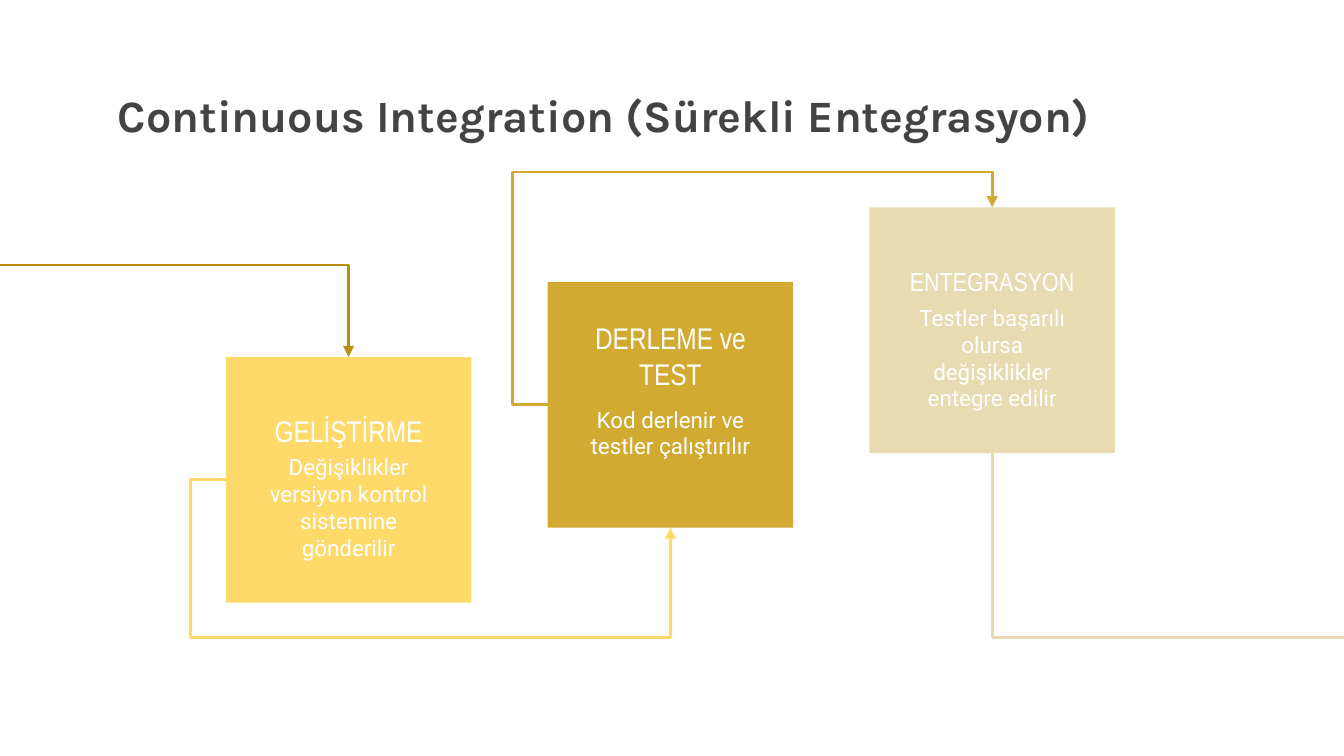
import pptx
import pptx.util
import pptx.dml.color
import pptx.enum.shapes
import pptx.enum.text
import pptx.oxml.ns
from lxml import etree

Pt = pptx.util.Pt
RGBColor = pptx.dml.color.RGBColor
qn = pptx.oxml.ns.qn

INK = RGBColor(0x43, 0x43, 0x43)
WHITE = RGBColor(0xFF, 0xFF, 0xFF)
BRONZE = RGBColor(0xB8, 0x8E, 0x13)
YELLOW = RGBColor(0xFF, 0xD9, 0x69)
GOLD = RGBColor(0xD3, 0xAA, 0x31)
SAND = RGBColor(0xE9, 0xDB, 0xB1)

# Content
TITLE = "Continuous Integration (Sürekli Entegrasyon)"
STEPS = [  # heading, heading size, description, colour
    ("GELİŞTİRME", 16, "Değişiklikler versiyon kontrol sistemine gönderilir", YELLOW),
    ("DERLEME ve TEST", 16, "Kod derlenir ve testler çalıştırılır", GOLD),
    ("ENTEGRASYON", 14, "Testler başarılı olursa değişiklikler entegre edilir", SAND),
]

# Layout in points: squares climb to the right in equal steps
PAGE_WIDTH, PAGE_HEIGHT = 720, 405
SIDE = 131.5
FIRST_LEFT, FIRST_TOP = 121, 191.3
STEP_RIGHT, STEP_UP = 172.4, 40.1
LOOP_GAP = 18.9  # distance of the connector loops from the squares
ENTRY_Y = 142

deck = pptx.Presentation()
deck.slide_width, deck.slide_height = Pt(PAGE_WIDTH), Pt(PAGE_HEIGHT)
page = deck.slides.add_slide(deck.slide_layouts[6])


def add_text(text, left, top, width, height, size, font, color, bold=False, centred=True):
    box = page.shapes.add_textbox(Pt(left), Pt(top), Pt(width), Pt(height))
    frame = box.text_frame
    frame.word_wrap = True
    frame.vertical_anchor = pptx.enum.text.MSO_ANCHOR.MIDDLE
    frame.margin_left = frame.margin_right = Pt(7.2)
    frame.margin_top = frame.margin_bottom = Pt(7.2)
    para = frame.paragraphs[0]
    para.text = text
    if centred:
        para.alignment = pptx.enum.text.PP_ALIGN.CENTER
    para.font.size, para.font.name, para.font.bold = Pt(size), font, bold
    para.font.color.rgb = color


def add_elbow(start, end, color, loop=None, arrow=True):
    """Leave start sideways and reach end vertically, by way of loop (x, y) if given."""
    line = page.shapes.add_connector(
        pptx.enum.shapes.MSO_CONNECTOR.ELBOW, *(Pt(value) for value in start + end))
    line.line.color.rgb = color
    line.line.width = Pt(1.5)
    properties = line._element.spPr
    geometry = properties.find(qn("a:prstGeom"))
    geometry.set("prst", "bentConnector4" if loop else "bentConnector2")
    if loop:
        guides = geometry.find(qn("a:avLst"))
        if guides is None:
            guides = etree.SubElement(geometry, qn("a:avLst"))
        for axis in range(2):
            ratio = (loop[axis] - start[axis]) / (end[axis] - start[axis])
            etree.SubElement(guides, qn("a:gd"), name=f"adj{axis + 1}",
                             fmla=f"val {round(ratio * 100000)}")
    if arrow:
        etree.SubElement(line.line._get_or_add_ln(), qn("a:tailEnd"), type="triangle")
    etree.SubElement(properties, qn("a:effectLst"))


# Title
add_text(TITLE, 56, 42.5, 608, 38, 24, "Karla", INK, bold=True, centred=False)

# Squares with heading and description
corners = [(FIRST_LEFT + STEP_RIGHT * i, FIRST_TOP - STEP_UP * i) for i in range(len(STEPS))]
for (left, top), (heading, size, description, color) in zip(corners, STEPS):
    square = page.shapes.add_shape(
        pptx.enum.shapes.MSO_SHAPE.RECTANGLE, Pt(left), Pt(top), Pt(SIDE), Pt(SIDE))
    square.shadow.inherit = False
    square.fill.solid()
    square.fill.fore_color.rgb = color
    square.line.fill.background()
    add_text(heading, left + 11, top + 25.5, 109.5, 27.4, size, "Arial Narrow", WHITE)
    add_text(description, left + 12.8, top + 56, 106, 49, 12, "Roboto", WHITE)

# Connectors: in from the left edge, square to square, out at the right edge
tops = [(left + SIDE / 2, top) for left, top in corners]
bottoms = [(x, top + SIDE) for x, top in tops]
sides = [(left, top + SIDE / 2) for left, top in corners]
low_y = bottoms[0][1] + LOOP_GAP
high_y = tops[2][1] - LOOP_GAP

add_elbow((-7, ENTRY_Y), tops[0], BRONZE)
add_elbow(sides[0], bottoms[1], YELLOW, loop=(sides[0][0] - LOOP_GAP, low_y))
add_elbow(sides[1], tops[2], GOLD, loop=(sides[1][0] - LOOP_GAP, high_y))
add_elbow((PAGE_WIDTH + 20, low_y), bottoms[2], SAND, arrow=False)

deck.save("out.pptx")
